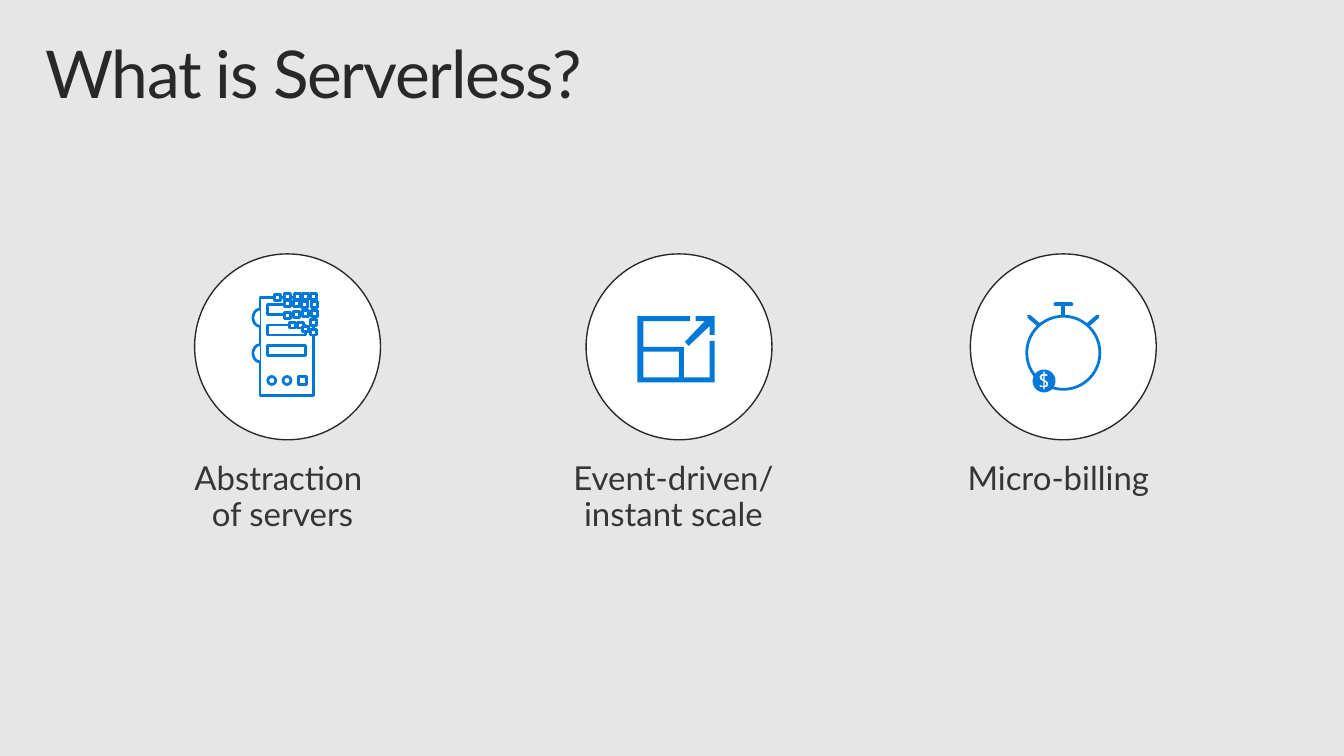
from math import cos, radians, sin

from lxml.etree import SubElement
from pptx import Presentation
from pptx.dml.color import RGBColor
from pptx.enum.shapes import MSO_CONNECTOR, MSO_SHAPE
from pptx.enum.text import MSO_ANCHOR, PP_ALIGN
from pptx.oxml.ns import qn
from pptx.util import Pt

BLUE, WHITE, DARK, GRAY = "0078D7", "FFFFFF", "282828", "353535"
RECT, OVAL = MSO_SHAPE.RECTANGLE, MSO_SHAPE.OVAL

# Circle left edge, caption box (left, width, height), caption
CONCEPTS = [
    (141.8, (105.8, 207.4, 77), "Abstraction \vof servers"),
    (427, (387.4, 213.8, 77), "Event-driven/ instant scale"),
    (707, (676.1, 197.3, 50.4), "Micro-billing"),
]

# Squares breaking away from the server's corner
FRAGMENTS = [
    (200.2, 214.6), (214.6, 213.8), (220.3, 213.8), (226.1, 213.8),
    (219.6, 219.6), (213.8, 218.9), (220.3, 226.1), (207.4, 213.8),
    (226.8, 219.6), (226.8, 226.1), (226.1, 232.6), (226.1, 239.8),
    (213.8, 226.8), (216.7, 234.7), (220.3, 237.6), (211, 234.7),
    (207.4, 218.9), (207.4, 227.5),
]

# Scaling icon: frame, inner window and arrow
FRAME = [
    (517, 275), (498.2, 275), (498.2, 252.7), (468.7, 252.7), (468.7, 234),
    (502.6, 234), (502.6, 230.4), (464.4, 230.4), (464.4, 278.6),
    (520.6, 278.6), (520.6, 248.4), (517, 248.4),
]
WINDOW = [(468.7, 256.3), (494.6, 256.3), (494.6, 275), (468.7, 275)]
ARROW = [
    (506.9, 234), (513.4, 234), (499, 249.1), (501.8, 252), (517, 237.6),
    (517, 244.1), (520.6, 244.1), (520.6, 230.4), (506.9, 230.4),
]

# Dollar sign: outline and its two counters
DOLLAR = [
    (760.3, 270.7), (760.3, 272.2), (758.7, 272.8), (757.6, 273.9),
    (757.4, 275), (757.9, 276.5), (760.3, 277.9), (760.3, 281.3),
    (758.9, 281), (757.4, 280.2), (757.4, 281.7), (760.3, 282.3),
    (760.3, 283.7), (761.1, 283.7), (761.1, 282.3), (763, 281.7),
    (763.9, 280.1), (763.3, 278.2), (761.1, 276.8), (761.1, 273.6),
    (763.2, 274.3), (763.2, 272.8), (761.1, 272.2), (761.1, 270.7),
]
DOLLAR_TOP = [(760.3, 273.6), (760.3, 276.3), (759.2, 275.6), (759, 274.5)]
DOLLAR_FOOT = [(761.1, 278.4), (762.2, 279.1), (762.3, 280.3), (761.1, 281)]


def color(hex_code):
    return RGBColor.from_string(hex_code)


def paint(shape, fill, line=None, weight=2):
    shape.shadow.inherit = False
    shape.fill.solid()
    shape.fill.fore_color.rgb = color(fill)
    if line:
        shape.line.color.rgb = color(line)
        shape.line.width = Pt(weight)
    else:
        shape.line.fill.background()


def add_figure(slide, kind, left, top, width, height, fill=WHITE, line=BLUE, weight=2):
    box = [Pt(v) for v in (left, top, width, height)]
    paint(slide.shapes.add_shape(kind, *box), fill, line, weight)


def add_outline(slide, *contours, fill=BLUE, line=None, close=True):
    contours = [[(Pt(x), Pt(y)) for x, y in contour] for contour in contours]
    builder = slide.shapes.build_freeform(*contours[0][0], scale=1.0)
    for index, contour in enumerate(contours):
        if index:
            builder.move_to(*contour[0])
        builder.add_line_segments(contour[1:], close=close)
    paint(builder.convert_to_shape(), fill, line)


def arc(x, y, radius_x, radius_y, start, end):
    return [
        (x + radius_x * cos(radians(a)), y + radius_y * sin(radians(a)))
        for a in range(start, end + 1, 6)
    ]


def add_stroke(slide, x1, y1, x2, y2, weight=2.9):
    ends = [Pt(v) for v in (x1, y1, x2, y2)]
    stroke = slide.shapes.add_connector(MSO_CONNECTOR.STRAIGHT, *ends)
    stroke.line.color.rgb = color(BLUE)
    stroke.line.width = Pt(weight)
    stroke.line._get_or_add_ln().set("cap", "rnd")
    SubElement(stroke._element.spPr, qn("a:effectLst"))


def add_text(slide, text, left, top, width, height, *, size, ink, margins,
             align=PP_ALIGN.LEFT, after=0, tracking=None):
    box = [Pt(v) for v in (left, top, width, height)]
    frame = slide.shapes.add_textbox(*box).text_frame
    frame.word_wrap = True
    frame.vertical_anchor = MSO_ANCHOR.TOP
    frame.margin_left, frame.margin_top, frame.margin_right, frame.margin_bottom = [
        Pt(v) for v in margins
    ]
    paragraph = frame.paragraphs[0]
    paragraph.text = text
    paragraph.alignment = align
    paragraph.line_spacing = 0.9
    paragraph.space_after = Pt(after)
    for run in paragraph.runs:
        run.font.name = "Lato"
        run.font.size = Pt(size)
        run.font.color.rgb = color(ink)
        if tracking:
            run.font._element.set("spc", str(tracking))


def add_server(slide):
    add_figure(slide, RECT, 189.4, 216.7, 38.9, 71.3)
    for slot in range(3):
        add_figure(slide, RECT, 195.1, 221.8 + 15.1 * slot, 27.4, 7.2)
    for handle_y in (231.5, 257.4):
        add_outline(slide, arc(189.4, handle_y, 5, 6.2, 90, 270),
                    fill=WHITE, line=BLUE, close=False)
    for button, kind in enumerate((OVAL, OVAL, RECT)):
        add_figure(slide, kind, 195.1 + 11.1 * button, 274.3, 5.8, 5.8)
    for left, top in FRAGMENTS:
        add_figure(slide, RECT, left, top, 4.3, 4.3, weight=2.13)


def add_scaling(slide):
    add_outline(slide, FRAME, WINDOW)
    add_outline(slide, ARROW)


def add_stopwatch(slide):
    # Crown and side buttons
    add_stroke(slide, 769, 221.8, 780.5, 221.8)
    add_stroke(slide, 774.7, 221.8, 774.7, 229)
    for side in (-1, 1):
        add_stroke(slide, 774.7 + side * 25, 230.6, 774.7 + side * 18, 236.6)
    # Dial and coin
    add_figure(slide, OVAL, 748.1, 230.4, 53.3, 53.3)
    add_figure(slide, OVAL, 756, 270.7, 13, 13, line=None)
    add_outline(slide, arc(760.7, 277.6, 8.3, 8.3, 0, 360),
                DOLLAR, DOLLAR_TOP, DOLLAR_FOOT)


def main():
    deck = Presentation()
    deck.slide_width, deck.slide_height = Pt(979.2), Pt(550.8)
    slide = deck.slides.add_slide(deck.slide_layouts[6])
    slide.background.fill.solid()
    slide.background.fill.fore_color.rgb = color("E6E6E6")

    add_text(slide, "What is Serverless?", 21.6, 23, 936, 72, size=48, ink=DARK,
             margins=(11.5, 7.2, 11.5, 7.2), tracking=-100)

    # Circles with captions
    for circle_left, (left, width, height), caption in CONCEPTS:
        add_figure(slide, OVAL, circle_left, 185, 135.4, 135.4, line=DARK, weight=1)
        add_text(slide, caption, left, 325.4, width, height, size=24, ink=GRAY,
                 margins=(7.2, 11.5, 14.4, 11.5), align=PP_ALIGN.CENTER, after=6)

    # Icons inside the circles
    add_server(slide)
    add_scaling(slide)
    add_stopwatch(slide)

    deck.save("out.pptx")


if __name__ == "__main__":
    main()
